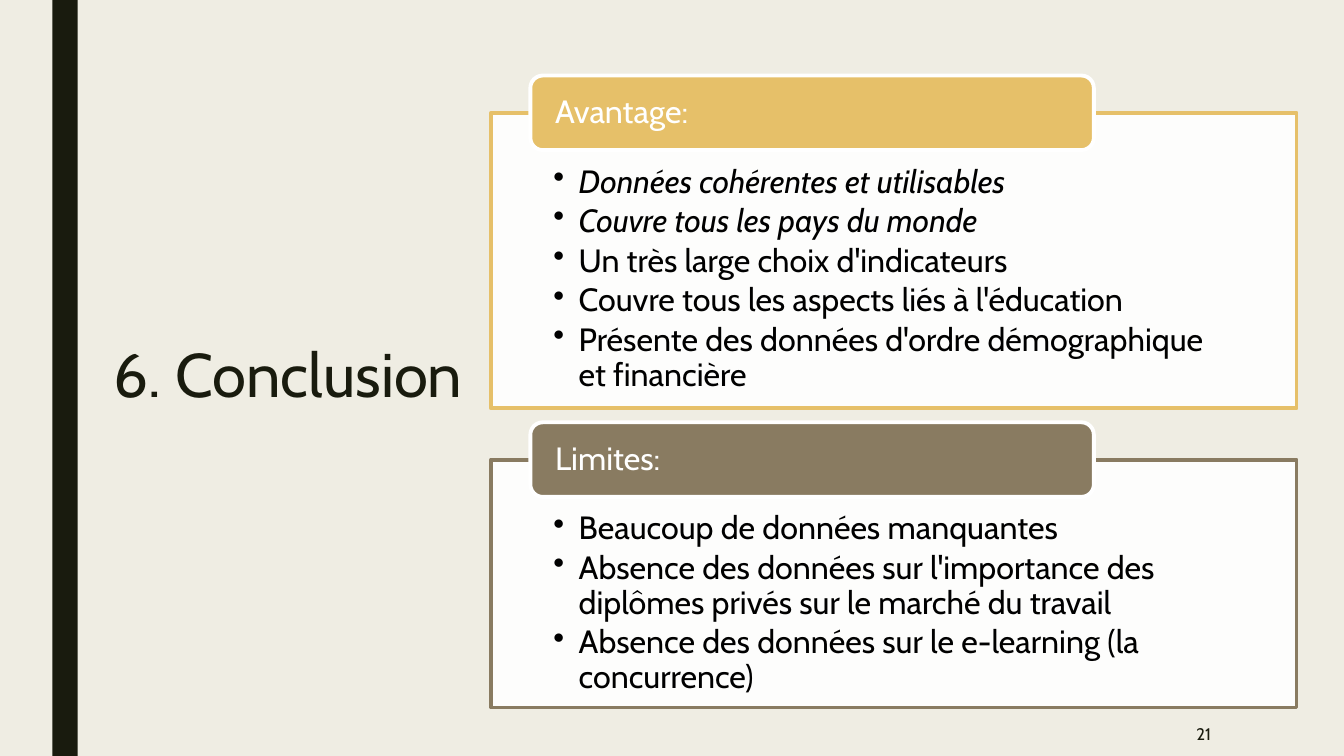
import pptx
import pptx.util
import pptx.dml.color
import pptx.enum.shapes
import pptx.enum.text
from lxml import etree

RGBColor = pptx.dml.color.RGBColor
Shapes = pptx.enum.shapes.MSO_SHAPE
Align = pptx.enum.text.PP_ALIGN
Anchor = pptx.enum.text.MSO_ANCHOR
Pt = pptx.util.Pt
Inches = pptx.util.Inches

CREAM = RGBColor(0xEF, 0xED, 0xE3)
INK = RGBColor(0x19, 0x1B, 0x0E)
GOLD = RGBColor(0xE6, 0xC0, 0x69)
TAUPE = RGBColor(0x89, 0x7B, 0x61)
WHITE = RGBColor(0xFF, 0xFF, 0xFF)
BLACK = RGBColor(0, 0, 0)

deck = pptx.Presentation()
deck.slide_width = Inches(13.33)
deck.slide_height = Inches(7.5)
slide = deck.slides.add_slide(deck.slide_layouts[6])
slide.background.fill.solid()
slide.background.fill.fore_color.rgb = CREAM

# Grid of 100 columns by 100 rows
COL = deck.slide_width / 100
ROW = deck.slide_height / 100


def add_block(kind, left, top, width, height, fill=None, line=None, insets=(0.1, 0.05, 0.1, 0.05)):
    """Place a shape (or a text box if kind is None) on the grid."""
    place = [round(v) for v in (left * COL, top * ROW, width * COL, height * ROW)]
    if kind is None:
        block = slide.shapes.add_textbox(*place)
    else:
        block = slide.shapes.add_shape(kind, *place)
        block.shadow.inherit = False
        block.fill.solid()
        block.fill.fore_color.rgb = fill
        if line is None:
            block.line.fill.background()
        else:
            block.line.color.rgb = line
            block.line.width = Pt(2.75)
    frame = block.text_frame
    frame.word_wrap = True
    frame.vertical_anchor = Anchor.MIDDLE
    frame.margin_left, frame.margin_top, frame.margin_right, frame.margin_bottom = map(Inches, insets)
    return block


def write(paragraph, text, size, color, align=Align.LEFT, spacing=1.0, after=0, italic=False):
    paragraph.alignment = align
    paragraph.line_spacing = spacing
    paragraph.space_after = Pt(after)
    run = paragraph.add_run()
    run.text = text
    run.font.name = "Cabin"
    run.font.size = Pt(size)
    run.font.italic = italic
    run.font.color.rgb = color


# Side bar and title
add_block(Shapes.RECTANGLE, 3.9, 0, 1.88, 100, INK)
title = add_block(None, 5.25, 9.33, 32.4, 81.33)
write(title.text_frame.paragraphs[0], "6. Conclusion", 44, INK, Align.CENTER, 0.89, 6)

# Panels: heading, colour, height in rows, points as (text, italic)
panels = [
    ("Avantage:", GOLD, 39.07, [
        ("Données cohérentes et utilisables", True),
        ("Couvre tous les pays du monde", True),
        ("Un très large choix d'indicateurs", False),
        ("Couvre tous les aspects liés à l'éducation", False),
        ("Présente des données d'ordre démographique et financière", False),
    ]),
    ("Limites:", TAUPE, 32.8, [
        ("Beaucoup de données manquantes", False),
        ("Absence des données sur l'importance des diplômes privés sur le marché du travail", False),
        ("Absence des données sur le e-learning (la concurrence)", False),
    ]),
]
PANEL_GAP = 6.8
TAB_HEIGHT = 9.87
panel_top = 14.93

for heading, accent, panel_height, points in panels:
    panel = add_block(Shapes.RECTANGLE, 36.53, panel_top, 59.94, panel_height,
                      WHITE, accent, (0.62, 0.52, 0.62, 0.18))
    panel.text_frame.vertical_anchor = Anchor.TOP
    # Panel fill is 90 % opaque
    white = panel.fill._xPr.find(".//" + pptx.oxml.ns.qn("a:srgbClr"))
    etree.SubElement(white, pptx.oxml.ns.qn("a:alpha")).set("val", "90000")

    for index, (point, italic) in enumerate(points):
        paragraph = panel.text_frame.paragraphs[0] if index == 0 else panel.text_frame.add_paragraph()
        write(paragraph, point, 23, BLACK, spacing=0.9, after=3.45, italic=italic)
        # Hanging bullet
        properties = paragraph._p.get_or_add_pPr()
        properties.set("marL", str(Inches(0.25)))
        properties.set("indent", str(-Inches(0.25)))
        etree.SubElement(properties, pptx.oxml.ns.qn("a:buChar")).set("char", "•")

    # Heading tab straddles the top edge of its panel
    tab = add_block(Shapes.ROUNDED_RECTANGLE, 39.46, panel_top - TAB_HEIGHT / 2, 41.93, TAB_HEIGHT,
                    accent, WHITE, (0.21, 0, 0.21, 0))
    write(tab.text_frame.paragraphs[0], heading, 23, WHITE, spacing=0.9, after=8.05)
    panel_top += panel_height + PANEL_GAP

# Slide number
number = add_block(None, 77.72, 94.13, 13.13, 5.87)
write(number.text_frame.paragraphs[0], "21", 12, INK, Align.RIGHT)

deck.save("out.pptx")
